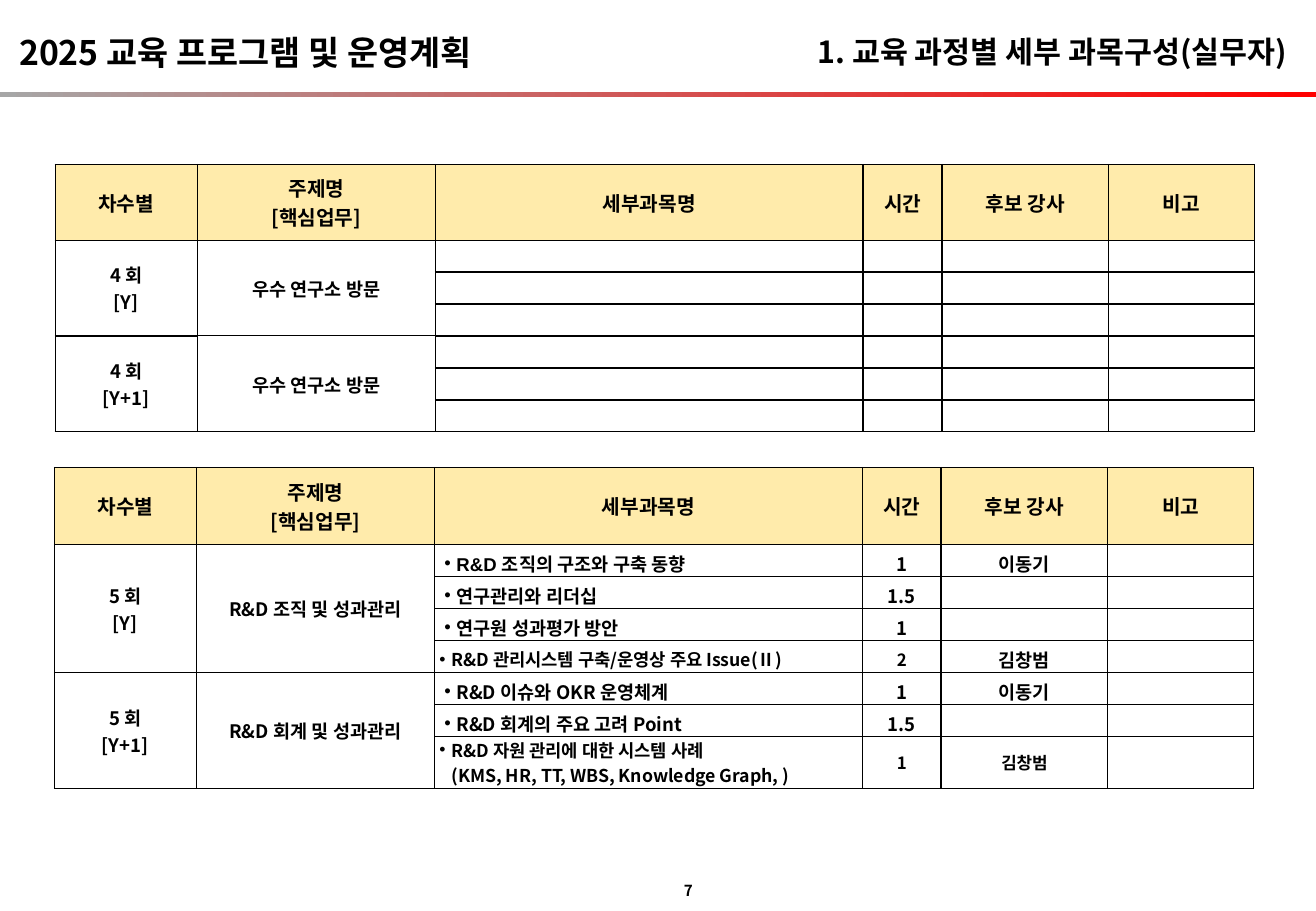
import copy
import dataclasses

import pptx
import pptx.dml.color
import pptx.enum.shapes
import pptx.enum.text
import pptx.oxml
import pptx.oxml.ns
import pptx.util

SLIDE_WIDTH = pptx.util.Inches(10.83)
SLIDE_HEIGHT = pptx.util.Inches(7.5)
FONT = "Noto Sans CJK KR"
COLORS = {"text": "000000", "border": "000000", "header": "FFEBAB",
          "bar_start": "A6A6A6", "bar_end": "FF0000"}
ALIGN = pptx.enum.text.PP_ALIGN
MIDDLE = pptx.enum.text.MSO_ANCHOR.MIDDLE

# Column widths and row heights in percent of the slide
COLUMNS = [10.8, 18.1, 32.5, 6, 12.65, 11.1]
LINE_ROW = 3.51
TWO_LINE_ROW = 5.7
HEADINGS = ["차수별", "주제명\n[핵심업무]", "세부과목명", "시간", "후보 강사", "비고"]


@dataclasses.dataclass
class Subject:
    title: str = ""
    hours: str = ""
    lecturer: str = ""
    sizes: tuple = (11, 11, 11)
    latin: str = FONT

    @property
    def row_height(self):
        return TWO_LINE_ROW if "\v" in self.title else LINE_ROW


VISITS = [
    ("4 회\n[Y]", "우수 연구소 방문", [Subject()] * 3),
    ("4 회\n[Y+1]", "우수 연구소 방문", [Subject()] * 3),
]
COURSES = [
    ("5 회\n[Y]", "R&D 조직 및 성과관리", [
        Subject("R&D 조직의 구조와 구축 동향", "1", "이동기", latin="Arial"),
        Subject("연구관리와 리더십", "1.5"),
        Subject("연구원 성과평가 방안", "1"),
        Subject("R&D 관리시스템 구축/운영상 주요 Issue(Ⅱ)", "2", "김창범", (10.5, 10, 11)),
    ]),
    ("5 회\n[Y+1]", "R&D 회계 및 성과관리", [
        Subject("R&D 이슈와 OKR 운영체계", "1", "이동기"),
        Subject("R&D 회계의 주요 고려 Point", "1.5"),
        Subject("R&D 자원 관리에 대한 시스템 사례\v(KMS, HR, TT, WBS, Knowledge Graph, )",
                "1", "김창범", (10.5, 10, 10)),
    ]),
]


def across(percent):
    return round(SLIDE_WIDTH * percent / 100)


def down(percent):
    return round(SLIDE_HEIGHT * percent / 100)


def rgb(name):
    return pptx.dml.color.RGBColor.from_string(COLORS[name])


def add_child(parent, tag, **attributes):
    child = parent.makeelement(pptx.oxml.ns.qn(tag), attributes)
    parent.append(child)
    return child


def style_text(frame, size, align, latin=FONT):
    for paragraph in frame.paragraphs:
        paragraph.alignment = align
        for run in paragraph.runs:
            run.font.size = pptx.util.Pt(size)
            run.font.bold = True
            run.font.name = latin
            run.font.color.rgb = rgb("text")
            add_child(run.font._element, "a:ea", typeface=FONT)
        for line_break in paragraph._p.findall(pptx.oxml.ns.qn("a:br")):
            line_break.append(copy.deepcopy(paragraph.runs[0].font._element))
        if not paragraph.runs:
            add_child(paragraph._p, "a:endParaRPr", sz=str(size * 100))


def add_label(slide, text, left, top, width, height, size, align):
    box = slide.shapes.add_textbox(across(left), down(top), across(width), down(height))
    frame = box.text_frame
    frame.text = text
    frame.word_wrap = False
    frame.vertical_anchor = MIDDLE
    style_text(frame, size, align)


def add_title_bar(slide):
    bar = slide.shapes.add_shape(pptx.enum.shapes.MSO_SHAPE.RECTANGLE,
                                 0, down(10.13), SLIDE_WIDTH, down(0.53))
    bar.shadow.inherit = False
    bar.line.fill.background()
    bar.fill.gradient()
    bar.fill.gradient_angle = 0
    for stop, name in zip(bar.fill.gradient_stops, ["bar_start", "bar_end"]):
        stop.color.rgb = rgb(name)


def draw_borders(cell, row, column):
    """Thin lines around the headings and the two left columns, full points elsewhere."""
    widths = {"a:lnL": 0.75 if column <= 2 else 1,
              "a:lnR": 0.75 if column in (0, 1, 5) else 1,
              "a:lnT": 0.75 if row <= 1 or column == 1 else 1,
              "a:lnB": 0.75 if row == 0 or column == 1 else 1}
    properties = cell._tc.get_or_add_tcPr()
    for position, (tag, width) in enumerate(widths.items()):
        line = add_child(properties, tag, w=str(pptx.util.Pt(width)))
        add_child(add_child(line, "a:solidFill"), "a:srgbClr", val=COLORS["border"])
        properties.remove(line)
        properties.insert(position, line)


def fill_cell(cell, text, size, align=ALIGN.CENTER, side=0.04, top=0.04, bottom=0.04, latin=FONT):
    cell.text_frame.text = text
    cell.vertical_anchor = MIDDLE
    cell.margin_left = cell.margin_right = pptx.util.Inches(side)
    cell.margin_top = pptx.util.Inches(top)
    cell.margin_bottom = pptx.util.Inches(bottom)
    style_text(cell.text_frame, size, align, latin)


def add_bullet(paragraph):
    properties = paragraph._p.get_or_add_pPr()
    indent = pptx.util.Inches(0.1)
    properties.set("marL", str(indent))
    properties.set("indent", str(-indent))
    add_child(properties, "a:buFont", typeface="Arial")
    add_child(properties, "a:buChar", char="•")


def fill_subject(table, row, subject):
    compact = subject.sizes[0] < 11
    top = 0 if "\v" in subject.title else 0.04
    fill_cell(table.cell(row, 2), subject.title, subject.sizes[0], ALIGN.LEFT,
              0.04 if compact else 0.08, top, 0, subject.latin)
    if subject.title:
        add_bullet(table.cell(row, 2).text_frame.paragraphs[0])
    details = [(subject.hours, subject.sizes[1]), (subject.lecturer, subject.sizes[2]), ("", 11)]
    for column, (text, size) in enumerate(details, start=3):
        fill_cell(table.cell(row, column), text, size, side=0.08, top=top, bottom=0)


def add_plan(slide, left, top, header_height, rounds):
    subjects = [subject for _, _, group in rounds for subject in group]
    heights = [header_height] + [subject.row_height for subject in subjects]
    table = slide.shapes.add_table(len(heights), len(COLUMNS), across(left), down(top),
                                   across(sum(COLUMNS)), down(sum(heights))).table
    table.first_row = table.horz_banding = False
    for column, width in zip(table.columns, COLUMNS):
        column.width = across(width)
    for row, height in zip(table.rows, heights):
        row.height = down(height)

    for column, heading in enumerate(HEADINGS):
        fill_cell(table.cell(0, column), heading, 12)
    for row, subject in enumerate(subjects, start=1):
        fill_subject(table, row, subject)
    first = 1
    for label, topic, group in rounds:
        last = first + len(group) - 1
        for column, text in enumerate([label, topic]):
            for row in range(first, last + 1):
                fill_cell(table.cell(row, column), text if row == first else "", 11)
            table.cell(first, column).merge(table.cell(last, column))
        first = last + 1

    for row in range(len(heights)):
        for column in range(len(COLUMNS)):
            cell = table.cell(row, column)
            if row == 0:
                cell.fill.solid()
                cell.fill.fore_color.rgb = rgb("header")
            else:
                cell.fill.background()
            draw_borders(cell, row, column)


def main():
    deck = pptx.Presentation()
    deck.slide_width, deck.slide_height = SLIDE_WIDTH, SLIDE_HEIGHT
    slide = deck.slides.add_slide(deck.slide_layouts[6])
    add_title_bar(slide)
    add_label(slide, "1. 교육 과정별 세부 과목구성(실무자)", 57.25, 2.93, 41.46, 5.33, 18, ALIGN.RIGHT)
    add_label(slide, "7", 50.97, 96.13, 2.59, 3.33, 9, ALIGN.RIGHT)
    add_label(slide, "2025 교육 프로그램 및 운영계획", 0.55, 2.8, 41.55, 5.87, 20, ALIGN.LEFT)
    add_plan(slide, 4.13, 51.3, 8.5, COURSES)
    add_plan(slide, 4.2, 18.05, 8.3, VISITS)
    deck.save("out.pptx")


if __name__ == "__main__":
    main()
